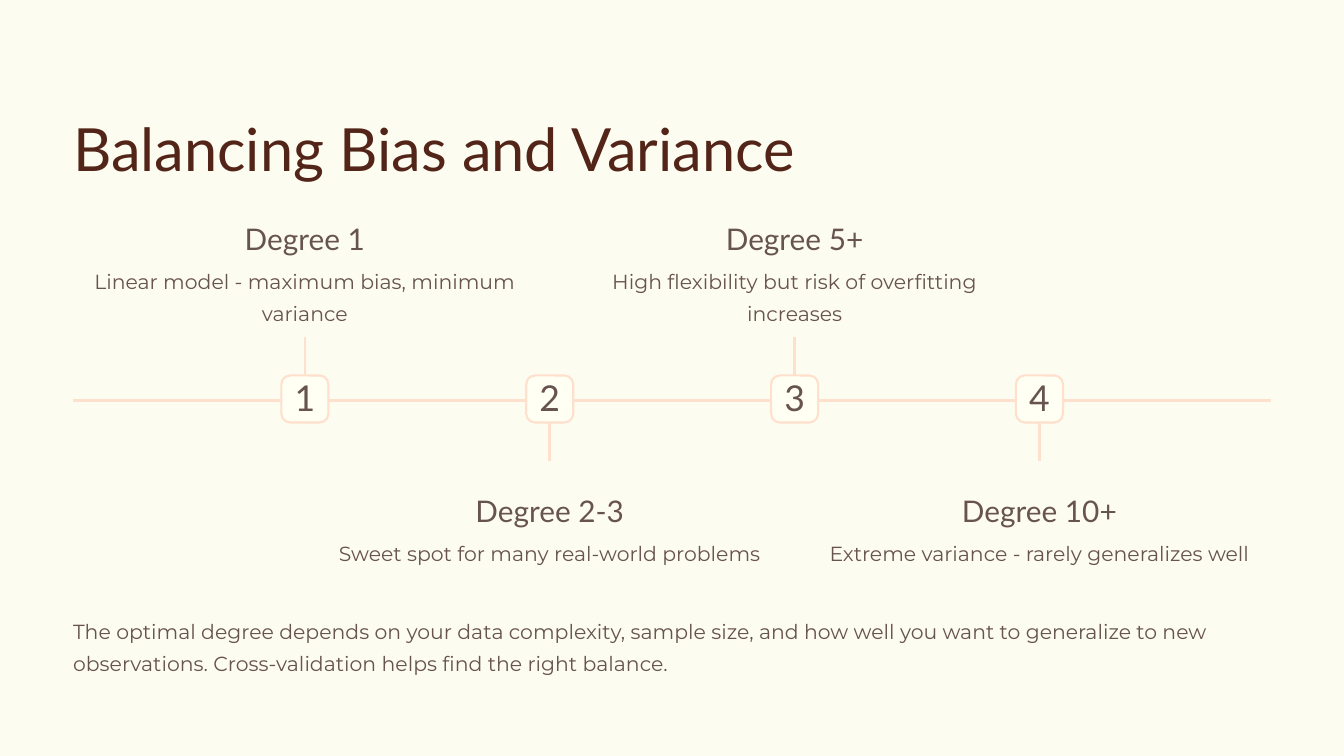
from dataclasses import dataclass

from lxml import etree
from pptx import Presentation
from pptx.dml.color import RGBColor
from pptx.enum.shapes import MSO_CONNECTOR, MSO_SHAPE
from pptx.enum.text import MSO_ANCHOR, PP_ALIGN
from pptx.oxml.ns import qn
from pptx.shapes.autoshape import Shape
from pptx.shapes.connector import Connector
from pptx.slide import Slide
from pptx.text.text import TextFrame
from pptx.util import Inches, Pt

LEFT, CENTER = PP_ALIGN.LEFT, PP_ALIGN.CENTER
TOP, MIDDLE = MSO_ANCHOR.TOP, MSO_ANCHOR.MIDDLE
STRAIGHT = MSO_CONNECTOR.STRAIGHT
RECT, ROUNDED = MSO_SHAPE.RECTANGLE, MSO_SHAPE.ROUNDED_RECTANGLE
SITE_TOP, SITE_BOTTOM = 0, 2

COLORS = {
    "base": "DEC8AB",
    "cream": "FFFFF4",
    "line": "FFE0CC",
    "title": "532418",
    "body": "67534F",
}

# Timeline geometry in inches
PAGE_W, PAGE_H = 16, 9
MARGIN, WIDTH = 0.87, 14.26
FIRST, STEP = 3.63, 2.915
AXIS_Y = 4.765
BADGE, BADGE_Y = 0.56, 4.47
STEM = 0.46
HEAD_W, HEAD_H = 3.57, 0.46
NOTE_W, NOTE_H = 5.04, 0.64
NOTE_DROP = 0.61
ABOVE_Y, BELOW_Y = 2.5, 5.74


@dataclass(frozen=True)
class Style:
    font: str
    size: float
    color: str
    spacing: float
    align: PP_ALIGN = CENTER


@dataclass(frozen=True)
class Stage:
    head: str
    note: str


@dataclass(frozen=True)
class Layer:
    color: str
    alpha: int


TITLE = Style("Lato", 51, "title", 1.3, LEFT)
HEAD = Style("Lato", 25.5, "body", 1.29)
NOTE = Style("Montserrat", 17.5, "body", 1.31)
CLOSING = Style("Montserrat", 17.5, "body", 1.31, LEFT)
NUMBER = Style("Lato", 30.5, "body", 1.0)

LAYERS = [Layer("base", 100), Layer("cream", 95)]

STAGES = [
    Stage("Degree 1", "Linear model - maximum bias, minimum variance"),
    Stage("Degree 2-3", "Sweet spot for many real-world problems"),
    Stage("Degree 5+", "High flexibility but risk of overfitting increases"),
    Stage("Degree 10+", "Extreme variance - rarely generalizes well"),
]


def rgb(name: str) -> RGBColor:
    return RGBColor.from_string(COLORS[name])


def write(frame: TextFrame, text: str, style: Style, anchor: MSO_ANCHOR = TOP) -> None:
    frame.text = text
    frame.word_wrap = True
    frame.vertical_anchor = anchor
    frame.margin_left = frame.margin_right = 0
    frame.margin_top = frame.margin_bottom = 0
    para = frame.paragraphs[0]
    para.alignment = style.align
    para.line_spacing = style.spacing
    font = para.runs[0].font
    font.name = style.font
    font.size = Pt(style.size)
    font.color.rgb = rgb(style.color)


def add_text(slide: Slide, x: float, y: float, w: float, h: float,
             text: str, style: Style) -> None:
    box = slide.shapes.add_textbox(Inches(x), Inches(y), Inches(w), Inches(h))
    write(box.text_frame, text, style)


def add_line(slide: Slide, x1: float, y1: float, x2: float, y2: float) -> Connector:
    line = slide.shapes.add_connector(
        STRAIGHT, Inches(x1), Inches(y1), Inches(x2), Inches(y2))
    line.line.color.rgb = rgb("line")
    line.line.width = Pt(2.25)
    etree.SubElement(line._element.spPr, qn("a:effectLst"))
    return line


def add_block(slide: Slide, kind: MSO_SHAPE, x: float, y: float,
              w: float, h: float, color: str) -> Shape:
    block = slide.shapes.add_shape(kind, Inches(x), Inches(y), Inches(w), Inches(h))
    block.shadow.inherit = False
    block.fill.solid()
    block.fill.fore_color.rgb = rgb(color)
    return block


def add_layer(slide: Slide, index: int, layer: Layer) -> None:
    sheet = add_block(slide, RECT, 0, 0, PAGE_W, PAGE_H, layer.color)
    sheet.line.fill.background()
    tint = sheet._element.spPr.find(qn("a:solidFill"))[0]
    etree.SubElement(tint, qn("a:alpha"), val=str(layer.alpha * 1000))
    # Behind the title: the first two children are group properties
    slide.shapes._spTree.insert(2 + index, sheet._element)


def add_badge(slide: Slide, x: float, number: int) -> Shape:
    badge = add_block(slide, ROUNDED, x - BADGE / 2, BADGE_Y, BADGE, BADGE, "cream")
    badge.adjustments[0] = 0.187
    badge.line.color.rgb = rgb("line")
    badge.line.width = Pt(1.8)
    write(badge.text_frame, str(number), NUMBER, MIDDLE)
    badge.text_frame.margin_bottom = Inches(0.05)
    return badge


def add_stage(slide: Slide, index: int, stage: Stage) -> None:
    x = FIRST + index * STEP
    above = index % 2 == 0
    badge = add_badge(slide, x, index + 1)

    # Stem from the badge towards its text
    start = BADGE_Y if above else BADGE_Y + BADGE
    end = start - STEM if above else start + STEM
    stem = add_line(slide, x, start, x, end)
    stem.begin_connect(badge, SITE_TOP if above else SITE_BOTTOM)

    # Heading and description
    y = ABOVE_Y if above else BELOW_Y
    add_text(slide, x - HEAD_W / 2, y, HEAD_W, HEAD_H, stage.head, HEAD)
    add_text(slide, x - NOTE_W / 2, y + NOTE_DROP, NOTE_W, NOTE_H, stage.note, NOTE)


def main() -> None:
    deck = Presentation()
    deck.slide_width, deck.slide_height = Inches(PAGE_W), Inches(PAGE_H)
    slide = deck.slides.add_slide(deck.slide_layouts[5])

    # Backdrop
    for index, layer in enumerate(LAYERS):
        add_layer(slide, index, layer)

    # Title
    title = slide.shapes.title
    title.left, title.top = Inches(MARGIN), Inches(1.08)
    title.width, title.height = Inches(8.88), Inches(0.93)
    write(title.text_frame, "Balancing Bias and Variance", TITLE)

    # Timeline
    add_line(slide, MARGIN, AXIS_Y, MARGIN + WIDTH, AXIS_Y)
    for index, stage in enumerate(STAGES):
        add_stage(slide, index, stage)

    # Closing remark
    add_text(slide, MARGIN, 7.28, WIDTH, 0.64,
             "The optimal degree depends on your data complexity, sample size, "
             "and how well you want to generalize to new observations. "
             "Cross-validation helps find the right balance.", CLOSING)

    deck.save("out.pptx")


if __name__ == "__main__":
    main()
